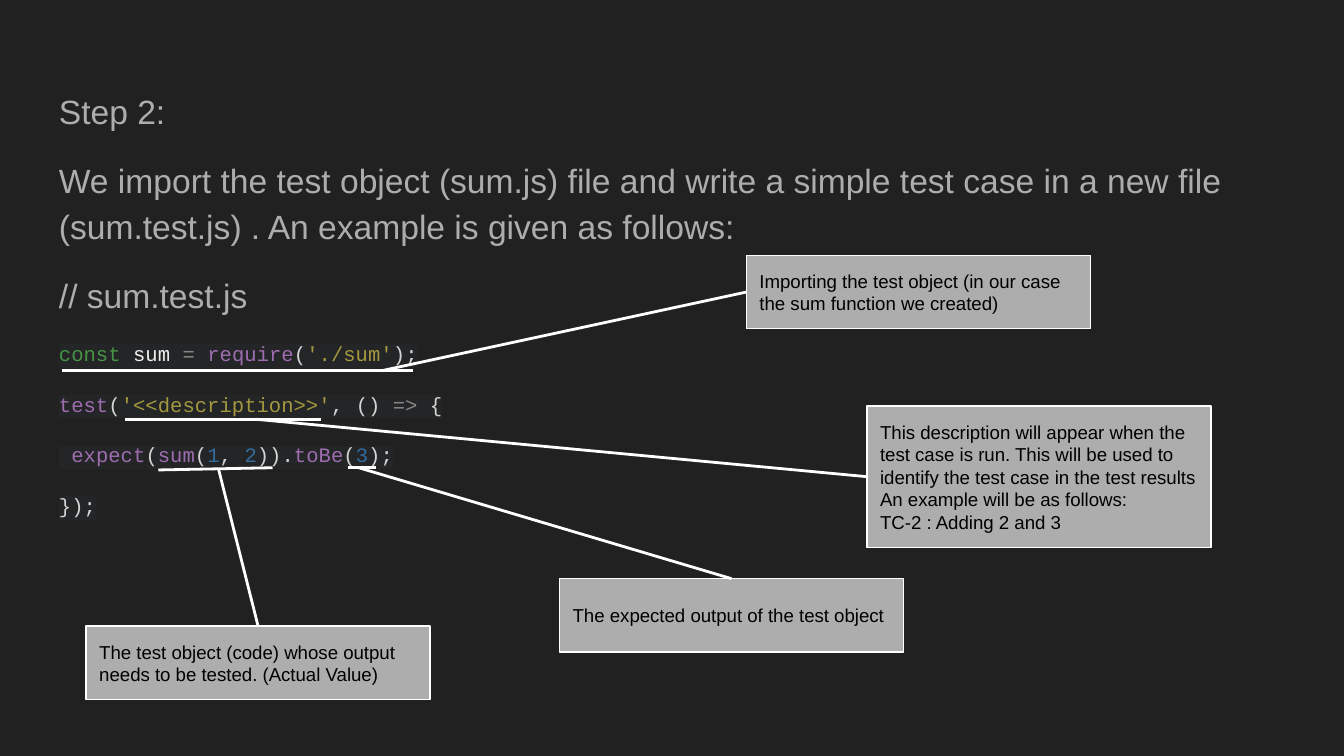
"""Build the slide that explains a simple test case with annotated code."""
from lxml.etree import SubElement
from pptx import Presentation
from pptx.dml.color import RGBColor
from pptx.enum.shapes import MSO_CONNECTOR, MSO_SHAPE
from pptx.enum.text import MSO_ANCHOR, PP_ALIGN
from pptx.oxml import parse_xml
from pptx.oxml.ns import nsdecls, qn
from pptx.util import Pt

COLORS = {
    "background": "212121", "prose": "ADADAD", "callout": "ADADAD",
    "line": "FFFFFF", "black": "000000", "highlight": "242526",
    "keyword": "469446", "plain": "EEEEEE", "operator": "888888",
    "function": "9E6DB1", "mark": "D4D4D4", "string": "A49840", "number": "336B9D",
}


def style_font(font, name, size, color):
    font.name = name
    font.size = Pt(size)
    font.color.rgb = RGBColor.from_string(COLORS[color])


def add_line(start, end):
    line = slide.shapes.add_connector(
        MSO_CONNECTOR.STRAIGHT, *[Pt(value) for value in (*start, *end)])
    line.line.color.rgb = RGBColor.from_string(COLORS["line"])
    line.line.width = Pt(1.5)
    SubElement(line._element.spPr, qn("a:effectLst"))
    return line


deck = Presentation()
deck.slide_width, deck.slide_height = Pt(720), Pt(405)
slide = deck.slides.add_slide(deck.slide_layouts[6])
slide.background.fill.solid()
slide.background.fill.fore_color.rgb = RGBColor.from_string(COLORS["background"])

prose = [
    "Step 2:",
    "We import the test object (sum.js) file and write a simple test case in a new file "
    "(sum.test.js) . An example is given as follows:",
    "// sum.test.js",
]
code = [
    [("const", "keyword"), (" sum ", "plain"), ("=", "operator"), (" ", "plain"),
     ("require", "function"), ("(", "mark"), ("'./sum'", "string"), (");", "mark")],
    [("test", "function"), ("(", "mark"), ("'<<description>>'", "string"), (",", "mark"),
     (" ", "plain"), ("()", "mark"), (" ", "plain"), ("=>", "operator"), (" ", "plain"),
     ("{", "mark")],
    [(" ", "plain"), ("expect", "function"), ("(", "mark"), ("sum", "function"),
     ("(", "mark"), ("1", "number"), (",", "mark"), (" ", "plain"), ("2", "number"),
     (")).", "mark"), ("toBe", "function"), ("(", "mark"), ("3", "number"), (");", "mark")],
    [("});", "mark")],
]
body = slide.shapes.add_textbox(Pt(24.5), Pt(38.2), Pt(671), Pt(321))
frame = body.text_frame
frame.word_wrap = True
frame.margin_left = frame.margin_right = frame.margin_top = frame.margin_bottom = Pt(7.2)
for index, content in enumerate([[(text, "prose")] for text in prose] + code):
    para = frame.add_paragraph() if index else frame.paragraphs[0]
    para.line_spacing = 1.15
    para.space_before = Pt(12 if index else 0)
    for text, color in content:
        span = para.add_run()
        span.text = text
        if color == "prose":
            style_font(span.font, "Arial", 18, color)
        else:
            style_font(span.font, "Courier New", 11, color)
            highlight = parse_xml(
                f'<a:highlight {nsdecls("a")}><a:srgbClr val="{COLORS["highlight"]}"/></a:highlight>')
            span.font._element.find(qn("a:solidFill")).addnext(highlight)

callouts = [
    ("This description will appear when the test case is run. This will be used to identify "
     "the test case in the test results\nAn example will be as follows:\nTC-2 : Adding 2 and 3",
     (464.4, 217.6), 75.6, 1, (136.8, 224.6), (67, 224.6), (172, 224.6)),
    ("The test object (code) whose output needs to be tested. (Actual Value)",
     (46.1, 335.4), 39.4, 0, (117.2, 251.8), (84.8, 251.8), (146, 250.6)),
    ("The expected output of the test object",
     (299.7, 310), 39.4, 0, (192.2, 250.6), (186.5, 250.6), (201.6, 250.6)),
    ("Importing the test object (in our case the sum function we created)",
     (399.8, 136.8), 39.4, 1, (204.5, 198.6), (33.1, 198.6), (221, 198.6)),
]
for text, (left, top), height, side, anchor, underline_start, underline_end in callouts:
    box = slide.shapes.add_shape(
        MSO_SHAPE.RECTANGLE, Pt(left), Pt(top), Pt(184.3), Pt(height))
    box.shadow.inherit = False
    box.fill.solid()
    box.fill.fore_color.rgb = RGBColor.from_string(COLORS["callout"])
    box.line.color.rgb = RGBColor.from_string(COLORS["line"])
    box.line.width = Pt(0.75)
    frame = box.text_frame
    frame.text = text
    frame.word_wrap = True
    frame.vertical_anchor = MSO_ANCHOR.MIDDLE
    frame.margin_left = frame.margin_right = frame.margin_top = frame.margin_bottom = Pt(7.2)
    for para in frame.paragraphs:
        para.alignment = PP_ALIGN.LEFT
        for span in para.runs:
            style_font(span.font, "Arial", 10, "black")
    add_line(anchor, (left, top)).end_connect(box, side)
    add_line(underline_start, underline_end)

deck.save("out.pptx")
